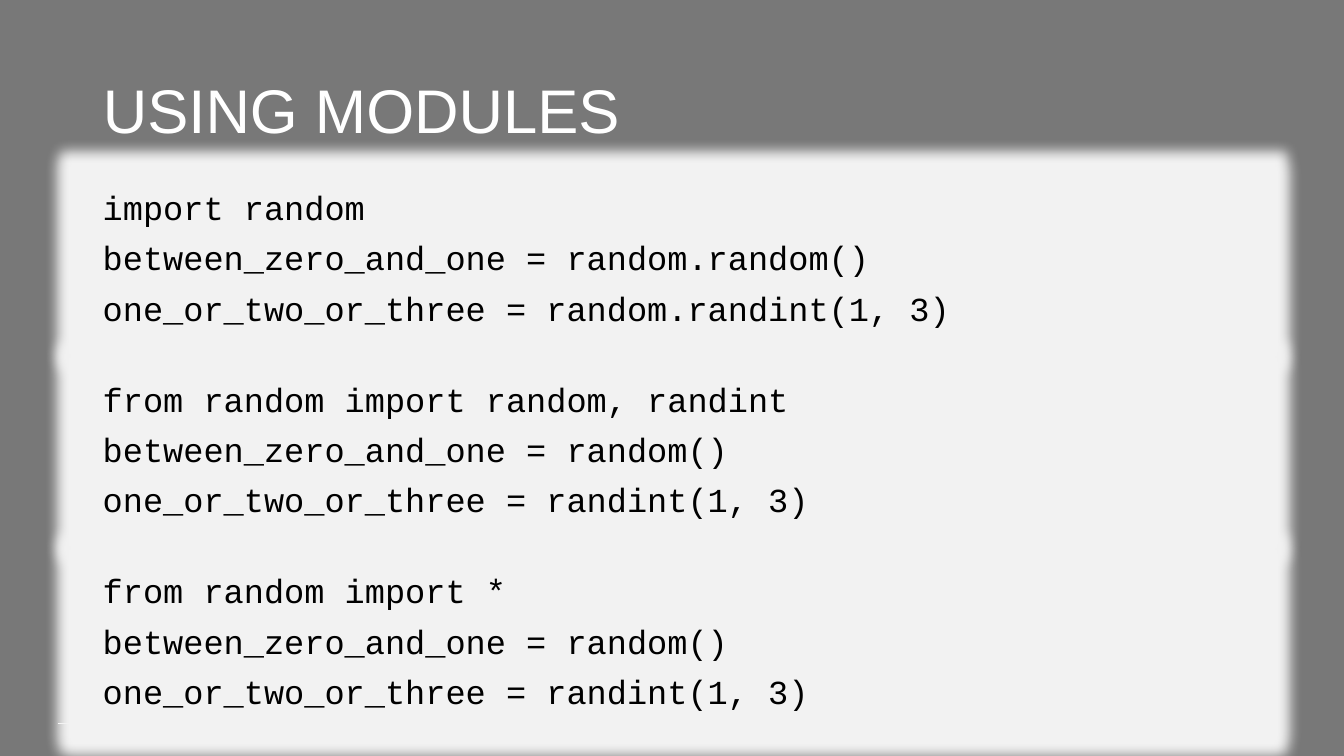
from dataclasses import dataclass

from lxml import etree
from pptx import Presentation
from pptx import util as u
from pptx.dml.color import RGBColor
from pptx.enum import shapes, text
from pptx.oxml import ns


@dataclass(frozen=True)
class Theme:
    background: str = "787878"
    light: str = "FFFFFF"
    panel: str = "F2F2F2"
    code: str = "000000"
    title_font: str = "Arial"
    code_font: str = "Courier New"
    title_size: int = 44
    code_size: int = 24
    glow_radius: int = 18


theme = Theme()


def add_run(paragraph, words, font, size, color):
    run = paragraph.add_run()
    run.text = words
    run.font.name = font
    run.font.size = u.Pt(size)
    run.font.color.rgb = RGBColor.from_string(color)


def add_effects(shape):
    return etree.SubElement(shape._element.spPr, ns.qn("a:effectLst"))


presentation = Presentation()
presentation.slide_width = u.Cm(33.87)
presentation.slide_height = u.Cm(19.05)
slide = presentation.slides.add_slide(presentation.slide_layouts[5])
slide.background.fill.solid()
slide.background.fill.fore_color.rgb = RGBColor.from_string(theme.background)

left, width = u.Cm(2.34), u.Cm(29.21)

# Footer rule, behind the code panels
rule = slide.shapes.add_connector(
    shapes.MSO_CONNECTOR.STRAIGHT, u.Cm(1.45), u.Cm(18.24), u.Cm(26.31), u.Cm(18.24)
)
rule.line.color.rgb = RGBColor.from_string(theme.light)
rule.line.width = u.Pt(0.75)
add_effects(rule)

# Title
title = slide.shapes.title
title.left, title.top, title.width, title.height = left, u.Cm(1.02), width, u.Cm(3.68)
title.text_frame.vertical_anchor = text.MSO_ANCHOR.MIDDLE
title.text_frame.word_wrap = True
paragraph = title.text_frame.paragraphs[0]
paragraph.alignment = text.PP_ALIGN.LEFT
paragraph.line_spacing = 0.9
add_run(paragraph, "USING MODULES", theme.title_font, theme.title_size, theme.light)

# Code panels: import line and call prefix of each import style
import_styles = [
    ("import random", "random."),
    ("from random import random, randint", ""),
    ("from random import *", ""),
]
first_top, pitch, panel_height = 4.7, 4.83, 3.73

for index, (import_line, prefix) in enumerate(import_styles):
    panel = slide.shapes.add_shape(
        shapes.MSO_SHAPE.RECTANGLE,
        left, u.Cm(first_top + index * pitch), width, u.Cm(panel_height),
    )
    panel.fill.solid()
    panel.fill.fore_color.rgb = RGBColor.from_string(theme.panel)
    panel.line.fill.background()

    # Soft glow around the panel
    glow = etree.SubElement(
        add_effects(panel), ns.qn("a:glow"), rad=str(u.Pt(theme.glow_radius))
    )
    etree.SubElement(glow, ns.qn("a:srgbClr"), val=theme.panel)

    # Code lines
    frame = panel.text_frame
    frame.word_wrap = True
    frame.auto_size = text.MSO_AUTO_SIZE.SHAPE_TO_FIT_TEXT
    frame.vertical_anchor = text.MSO_ANCHOR.TOP
    code_lines = [
        import_line,
        f"between_zero_and_one = {prefix}random()",
        f"one_or_two_or_three = {prefix}randint(1, 3)",
    ]
    for number, code_line in enumerate(code_lines):
        paragraph = frame.add_paragraph() if number else frame.paragraphs[0]
        paragraph.alignment = text.PP_ALIGN.LEFT
        paragraph.line_spacing = 0.9
        paragraph.space_before = u.Pt(10)
        add_run(paragraph, code_line, theme.code_font, theme.code_size, theme.code)

presentation.save("out.pptx")
